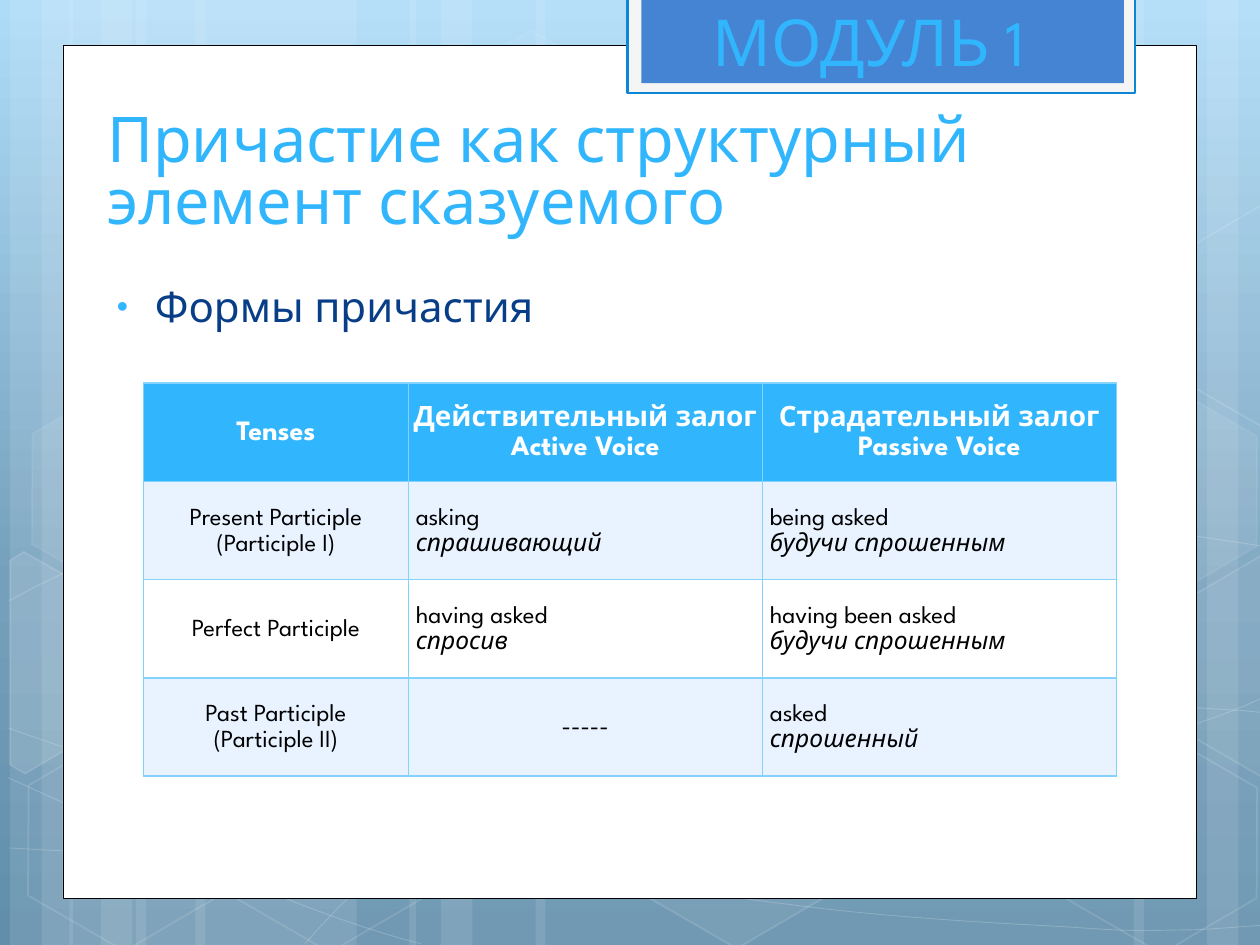
"""Build the slide on participle forms, with a hexagon backdrop and a table of tenses."""
from copy import deepcopy
from lxml.etree import SubElement
from pptx import Presentation
from pptx.dml.color import RGBColor
from pptx.enum.shapes import MSO_SHAPE
from pptx.enum.text import MSO_ANCHOR, MSO_AUTO_SIZE, PP_ALIGN
from pptx.oxml import parse_xml
from pptx.oxml.ns import nsdecls, qn
from pptx.util import Inches, Pt

FONT = "League Spartan"
COLORS = {
    "sky": "ADDBF8", "steel": "75A0BC", "deep": "618EAB", "white": "FFFFFF", "black": "000000",
    "tab": "F5F5F5", "tab_line": "0B87D6", "tab_core": "4584D3", "accent": "31B6FD",
    "navy": "073E87", "band": "E8F3FF", "border": "83D3FE",
}
RGB = {name: RGBColor.from_string(value) for name, value in COLORS.items()}


def paint(shape, fill=None, line=None, width=1, fill_alpha=100, line_alpha=100):
    """Set the fill and line of a shape, with their opacity in percent."""
    shape.shadow.inherit = False
    for target, color in ((shape.fill, fill), (shape.line.fill, line)):
        if color:
            target.solid()
            target.fore_color.rgb = RGB[color]
        else:
            target.background()
    if line:
        shape.line.width = Pt(width)
    for route, alpha in (("a:solidFill", fill_alpha), ("a:ln/a:solidFill", line_alpha)):
        for tone in shape.element.spPr.xpath(route + "/a:srgbClr"):
            if alpha < 100:
                SubElement(tone, qn("a:alpha"), val=str(alpha * 1000))


def style(para, size, color, bold=False, italic=False):
    """Format every run of a paragraph."""
    for span in para.runs:
        span.font.name, span.font.size = FONT, Pt(size)
        span.font.bold, span.font.italic = bold, italic
        span.font.color.rgb = RGB[color]


deck = Presentation()
deck.slide_width, deck.slide_height = Inches(10), Inches(7.5)
page = deck.slides.add_slide(deck.slide_layouts[5])
shapes = page.shapes

backdrop = page.background.fill
backdrop.gradient()
backdrop.gradient_angle = 270
stop_list = page.element.find(".//" + qn("a:gsLst"))
stop_list.append(deepcopy(stop_list[-1]))
for stop, (position, color) in zip(backdrop.gradient_stops, ((0, "sky"), (0.62, "steel"), (1, "deep"))):
    stop.position = position
    stop.color.rgb = RGB[color]

stripes = (
    (1.08, 1.75), (0.08, 0.5), (0.33, 0.83), (1.55, 1.75), (0.55, 0.5), (0.8, 0.83),
    (7.33, 1.75), (9.58, 0.5), (9, 0.83), (4.25, 3.08), (3.25, 0.5), (3.5, 0.83),
)
for left, width in stripes:
    stripe = shapes.add_shape(MSO_SHAPE.RECTANGLE, Inches(left), 0, Inches(width), Inches(7.5))
    paint(stripe, "white", fill_alpha=10)

curves = (
    ((0.07, 6.73), (0.61, 6.76), (1.15, 6.79), (1.9, 6.78), (2.65, 6.77), (3.58, 6.75), (4.58, 6.65),
     (5.58, 6.55), (7, 6.36), (7.92, 6.17), (8.83, 5.98), (9.77, 5.68), (10.07, 5.51)),
    ((0.07, 4.77), (0.36, 4.61), (0.65, 4.46), (1.21, 4.31), (1.78, 4.16), (2.59, 3.94), (3.47, 3.87),
     (4.36, 3.8), (5.44, 3.79), (6.54, 3.87), (7.64, 3.95), (9.47, 4.26), (10.07, 4.34)),
    ((0.06, 6.17), (1.27, 6.72), (2.47, 7.27), (3.34, 7.49)),
    ((0.07, 5.78), (0.38, 5.89), (0.7, 6), (1.28, 6.16), (1.86, 6.31), (2.73, 6.56), (3.57, 6.73),
     (4.4, 6.9), (5.45, 7.08), (6.28, 7.18), (7.11, 7.29), (8, 7.33), (8.53, 7.36),
     (9.05, 7.4), (9.19, 7.38), (9.45, 7.38), (9.71, 7.37), (9.89, 7.35), (10.07, 7.34)),
    ((2.42, 7.49), (2.6, 7.29), (2.78, 7.09), (3.02, 6.91), (3.26, 6.73), (3.6, 6.53), (3.88, 6.39),
     (4.16, 6.25), (4.33, 6.19), (4.7, 6.09), (5.06, 5.99), (5.73, 5.85), (6.08, 5.78),
     (6.44, 5.71), (6.49, 5.71), (6.8, 5.69), (7.11, 5.66), (7.6, 5.63), (7.94, 5.62),
     (8.29, 5.61), (8.86, 5.62), (8.86, 5.62), (9.08, 5.62), (9.31, 5.62), (9.53, 5.62),
     (9.71, 5.63), (9.88, 5.64), (9.97, 5.65), (10.06, 5.66), (10.03, 5.65), (10.06, 5.66)),
)
for knots in curves:
    knots = [(Inches(x), Inches(y)) for x, y in knots]
    builder = shapes.build_freeform(*knots[0])
    builder.add_line_segments(knots[1:], close=False)
    curve = builder.convert_to_shape()
    segments = curve.element.xpath(".//a:lnTo")
    for first in range(0, len(segments), 3):
        bend = SubElement(segments[first].getparent(), qn("a:cubicBezTo"))
        for segment in segments[first:first + 3]:
            bend.append(segment[0])
            segment.getparent().remove(segment)
    paint(curve, line="white", width=0.5, line_alpha=20)

hexagons = (
    (3.34, 0.36, 4, 8), (4.97, 5.89, 6, 12), (0.11, 5.91, 0, 12), (0.14, 3.12, 7, 8),
    (1.74, 5.92, 0, 12), (7.53, 4.53, 10, 12), (8.34, 5.93, 0, 12), (8.34, 3.14, 7, 8),
)
for left, top, fill_alpha, line_alpha in hexagons:
    hexagon = shapes.add_shape(MSO_SHAPE.HEXAGON, Inches(left), Inches(top), Inches(1.75), Inches(1.52))
    hexagon.rotation = 30
    hexagon.adjustments[0] = 0.285
    paint(hexagon, "white" if fill_alpha else None, "white", 1, fill_alpha, line_alpha)

cut_hexagons = (
    (10, ((0.08, 4.45), (0.19, 4.38), (0.96, 4.82), (0.95, 5.7), (0.2, 6.14), (0.08, 6.07))),
    (4, ((9.26, 4.85), (10.01, 4.41), (10.09, 4.46), (10.09, 6.13), (10.02, 6.17), (9.26, 5.73))),
    (0, ((9.26, 2.07), (10.01, 1.63), (10.1, 1.68), (10.09, 3.35), (10.02, 3.39), (9.26, 2.95))),
)
for fill_alpha, corners in cut_hexagons:
    corners = [(Inches(x), Inches(y)) for x, y in corners]
    builder = shapes.build_freeform(*corners[0])
    builder.add_line_segments(corners[1:], close=True)
    paint(builder.convert_to_shape(), "white" if fill_alpha else None, "white", 1, fill_alpha, 12)

panels = (
    ((0.5, 0.36, 9, 6.77), "white", "black", 0.5),
    ((4.98, -0.02, 4.03, 0.76), "tab", "tab_line", 1.25),
    ((5.09, -0.02, 3.83, 0.68), "tab_core", None, 0),
)
for area, fill, line, width in panels:
    paint(shapes.add_shape(MSO_SHAPE.RECTANGLE, *map(Inches, area)), fill, line, width)

body = shapes.add_textbox(Inches(0.75), Inches(2.18), Inches(7.41), Inches(3.84))
module = shapes.add_textbox(Inches(5.56), 0, Inches(2.99), Inches(0.68))
title = shapes.title
title.left, title.top, title.width, title.height = map(Inches, (0.75, 0.76, 7.68, 1.17))
title.element.getparent().append(title.element)
texts = (
    (body, "Формы причастия", 24, "navy", MSO_ANCHOR.TOP),
    (module, "МОДУЛЬ 1", 37, "accent", MSO_ANCHOR.BOTTOM),
    (title, "Причастие как структурный элемент сказуемого", 36, "accent", MSO_ANCHOR.BOTTOM),
)
for box, text, size, color, anchor in texts:
    frame = box.text_frame
    frame.text = text
    frame.word_wrap, frame.auto_size, frame.vertical_anchor = True, MSO_AUTO_SIZE.NONE, anchor
    frame.paragraphs[0].alignment = PP_ALIGN.LEFT
    style(frame.paragraphs[0], size, color)
title.text_frame.paragraphs[0].line_spacing = Pt(35)

bullet = body.text_frame.paragraphs[0]
bullet.space_before = Pt(5)
settings = bullet._p.get_or_add_pPr()
settings.set("marL", str(Inches(0.38)))
settings.set("indent", str(Inches(-0.3)))
tone = SubElement(settings, qn("a:buClr"))
SubElement(tone, qn("a:srgbClr"), val=COLORS["accent"])
SubElement(settings, qn("a:buSzPct"), val="76000")
SubElement(settings, qn("a:buFont"), typeface="Arial")
SubElement(settings, qn("a:buChar"), char="•")

rows = (
    ("Tenses", "Действительный залог\nActive Voice", "Страдательный залог\nPassive Voice"),
    ("Present Participle\n(Participle I)", "asking\nспрашивающий", "being asked\nбудучи спрошенным"),
    ("Perfect Participle", "having asked\nспросив", "having been asked\nбудучи спрошенным"),
    ("Past Participle\n(Participle II)", "-----", "asked\nспрошенный"),
)
table = shapes.add_table(4, 3, Inches(1.14), Inches(3.04), Inches(7.72), Inches(3.12)).table
for column, width in zip(table.columns, (2.1, 2.81, 2.81)):
    column.width = Inches(width)
for row_index, row in enumerate(rows):
    table.rows[row_index].height = Inches(0.78)
    for column_index, text in enumerate(row):
        cell = table.cell(row_index, column_index)
        header = row_index == 0
        example = not header and column_index > 0 and text != "-----"
        cell.text_frame.text = text
        cell.vertical_anchor = MSO_ANCHOR.MIDDLE
        cell.margin_left, cell.margin_right = Inches(0.06 if example else 0.02), Inches(0.02)
        cell.margin_top = cell.margin_bottom = 0
        cell.fill.solid()
        cell.fill.fore_color.rgb = RGB["accent" if header else "band" if row_index % 2 else "white"]
        for para_index, para in enumerate(cell.text_frame.paragraphs):
            para.alignment = PP_ALIGN.LEFT if example else PP_ALIGN.CENTER
            para.line_spacing = 1.15
            style(para, 16 if header else 14, "white" if header else "black", header, example and para_index == 1)
        for order, side in enumerate("LRTB"):
            cell._tc.get_or_add_tcPr().insert(order, parse_xml(
                f'<a:ln{side} {nsdecls("a")} w="{Pt(1)}"><a:solidFill>'
                f'<a:srgbClr val="{COLORS["border"]}"/></a:solidFill></a:ln{side}>'))

deck.save("out.pptx")
